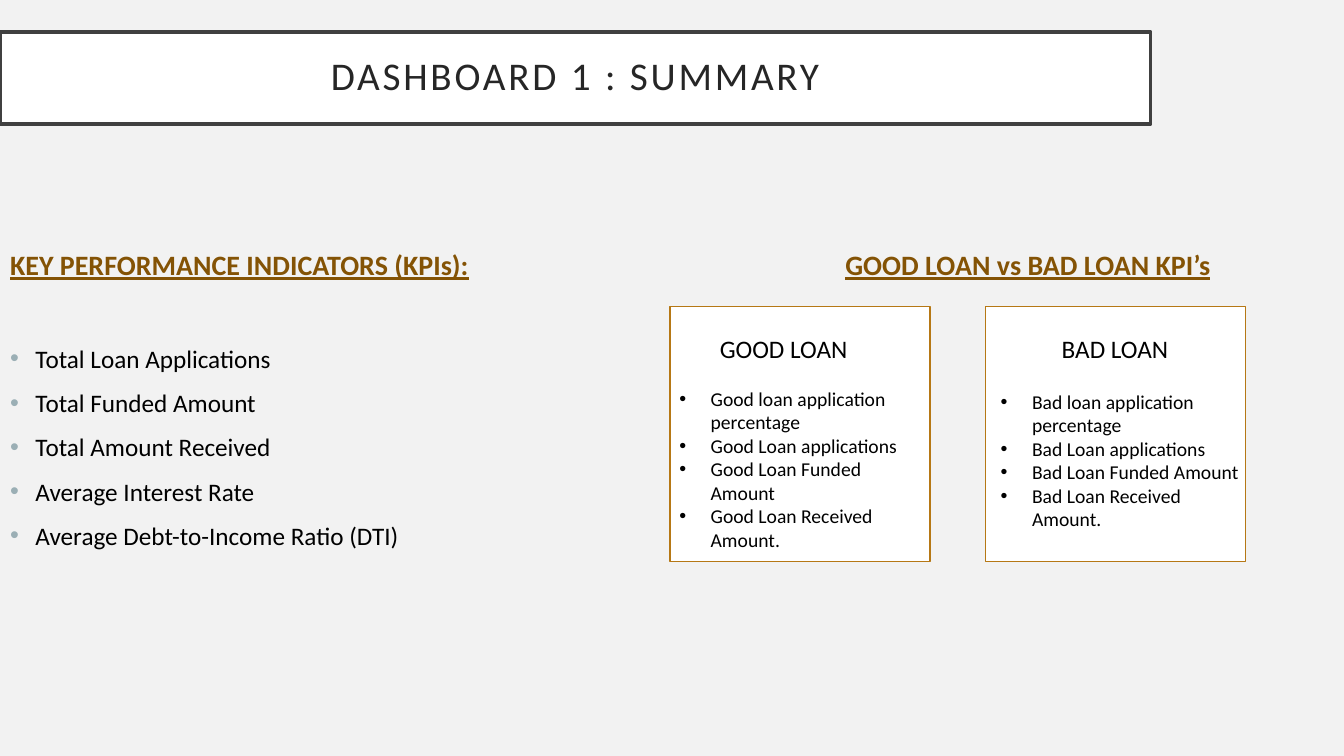
from pptx import Presentation
from pptx.dml.color import RGBColor
from pptx.enum.shapes import MSO_SHAPE
from pptx.enum.text import MSO_ANCHOR, MSO_AUTO_SIZE, PP_ALIGN
from pptx.oxml.ns import qn
from pptx.util import Cm, Pt
from lxml.etree import SubElement

HEADING = {"size": Pt(20), "bold": True, "underline": True, "color": "845305"}
KPI_ITEM = {"size": Pt(18), "color": "000000"}
PANEL_TITLE = {"size": Pt(18), "color": "000000"}
PANEL_ITEM = {"size": Pt(14), "color": "000000"}

KPIS = [
    "Total Loan Applications",
    "Total Funded Amount",
    "Total Amount Received",
    "Average Interest Rate",
    "Average Debt-to-Income Ratio (DTI)",
]
MEASURES = ["loan application percentage", "Loan applications",
            "Loan Funded Amount", "Loan Received Amount."]


def rgb(hex_color):
    return RGBColor.from_string(hex_color)


def place(shape, left, top, width, height):
    box = {"left": left, "top": top, "width": width, "height": height}
    for name, value in box.items():
        setattr(shape, name, Cm(value))


def outline(shape, line_color, line_width):
    """Give the shape a white fill and a solid border."""
    shape.fill.solid()
    shape.fill.fore_color.rgb = rgb("FFFFFF")
    shape.line.color.rgb = rgb(line_color)
    shape.line.width = Pt(line_width)


def write(paragraph, text, style, align=PP_ALIGN.LEFT, space_before=0):
    run = paragraph.add_run()
    run.text = text
    run.font.name = "Calibri"
    for name, value in style.items():
        if name == "color":
            run.font.color.rgb = rgb(value)
        else:
            setattr(run.font, name, value)
    paragraph.alignment = align
    paragraph.space_before = Pt(space_before)
    return run


def set_bullet(paragraph, indent, color=None):
    """Hang a round bullet; an indent of zero removes the bullet."""
    properties = paragraph._p.get_or_add_pPr()
    properties.set("marL", str(Cm(indent)))
    properties.set("indent", str(-Cm(indent)))
    if not indent:
        SubElement(properties, qn("a:buNone"))
        return
    if color:
        bullet_color = SubElement(properties, qn("a:buClr"))
        SubElement(bullet_color, qn("a:srgbClr")).set("val", color)
    SubElement(properties, qn("a:buFont")).set("typeface", "Arial")
    SubElement(properties, qn("a:buChar")).set("char", "•")


def prepare_frame(shape):
    frame = shape.text_frame
    frame.word_wrap = True
    frame.auto_size = MSO_AUTO_SIZE.NONE
    frame.vertical_anchor = MSO_ANCHOR.TOP
    return frame


def add_text_box(slide, *box):
    return prepare_frame(slide.shapes.add_textbox(*map(Cm, box)))


def fill_title(title, *box):
    place(title, *box)
    outline(title, "404040", 2.5)
    frame = prepare_frame(title)
    frame.vertical_anchor = MSO_ANCHOR.MIDDLE
    for side in ("left", "top", "right", "bottom"):
        setattr(frame, f"margin_{side}", Cm(0.5))
    paragraph = frame.paragraphs[0]
    paragraph.line_spacing = 0.9
    style = {"size": Pt(28), "color": "262626"}
    run = write(paragraph, "DASHBOARD 1 : SUMMARY", style, PP_ALIGN.CENTER)
    run.font._element.set("spc", "200")


def fill_body(body, heading, items, align, *box):
    place(body, *box)
    frame = prepare_frame(body)
    write(frame.paragraphs[0], heading, HEADING, align)
    set_bullet(frame.paragraphs[0], 0)
    for index, item in enumerate(items):
        paragraph = frame.add_paragraph()
        write(paragraph, item, KPI_ITEM, space_before=10 if index else 44)
        set_bullet(paragraph, 0.64, "9BAFB5")


def add_loan_panel(slide, kind, align, list_shift, left, top, width, height):
    """Draw a framed panel; list_shift nudges its list right and down."""
    panel = slide.shapes.add_shape(
        MSO_SHAPE.RECTANGLE, *map(Cm, (left, top, width, height)))
    panel.shadow.inherit = False
    outline(panel, "B67815", 1)

    title = add_text_box(slide, left + 1, top + 0.56, width - 2.03, 1.02)
    write(title.paragraphs[0], f"{kind.upper()} LOAN", PANEL_TITLE, align)

    right, down = list_shift
    frame = add_text_box(slide, left + right, top + 1.9 + down, width, 4.45)
    for index, measure in enumerate(MEASURES):
        paragraph = frame.add_paragraph() if index else frame.paragraphs[0]
        write(paragraph, f"{kind} {measure}", PANEL_ITEM)
        set_bullet(paragraph, 0.79)


def build_summary(slide):
    slide.background.fill.solid()
    slide.background.fill.fore_color.rgb = rgb("F2F2F2")
    title, kpis, loans = slide.placeholders
    fill_title(title, 0, 0.81, 29, 2.31)
    fill_body(kpis, "KEY PERFORMANCE INDICATORS (KPIs):", KPIS,
              PP_ALIGN.LEFT, 0, 6.12, 12.4, 8.03)
    fill_body(loans, "GOOD LOAN vs BAD LOAN KPI’s", [],
              PP_ALIGN.CENTER, 17.93, 6.12, 15.95, 9.83)
    add_loan_panel(slide, "Good", PP_ALIGN.LEFT, (-0.02, 0),
                   16.89, 7.72, 6.55, 6.43)
    add_loan_panel(slide, "Bad", PP_ALIGN.CENTER, (0.13, 0.07),
                   24.84, 7.72, 6.55, 6.43)


def main():
    presentation = Presentation()
    presentation.slide_width = Cm(33.87)
    presentation.slide_height = Cm(19.05)
    two_content = presentation.slide_layouts[3]
    slide = presentation.slides.add_slide(two_content)
    build_summary(slide)
    presentation.save("out.pptx")


if __name__ == "__main__":
    main()
